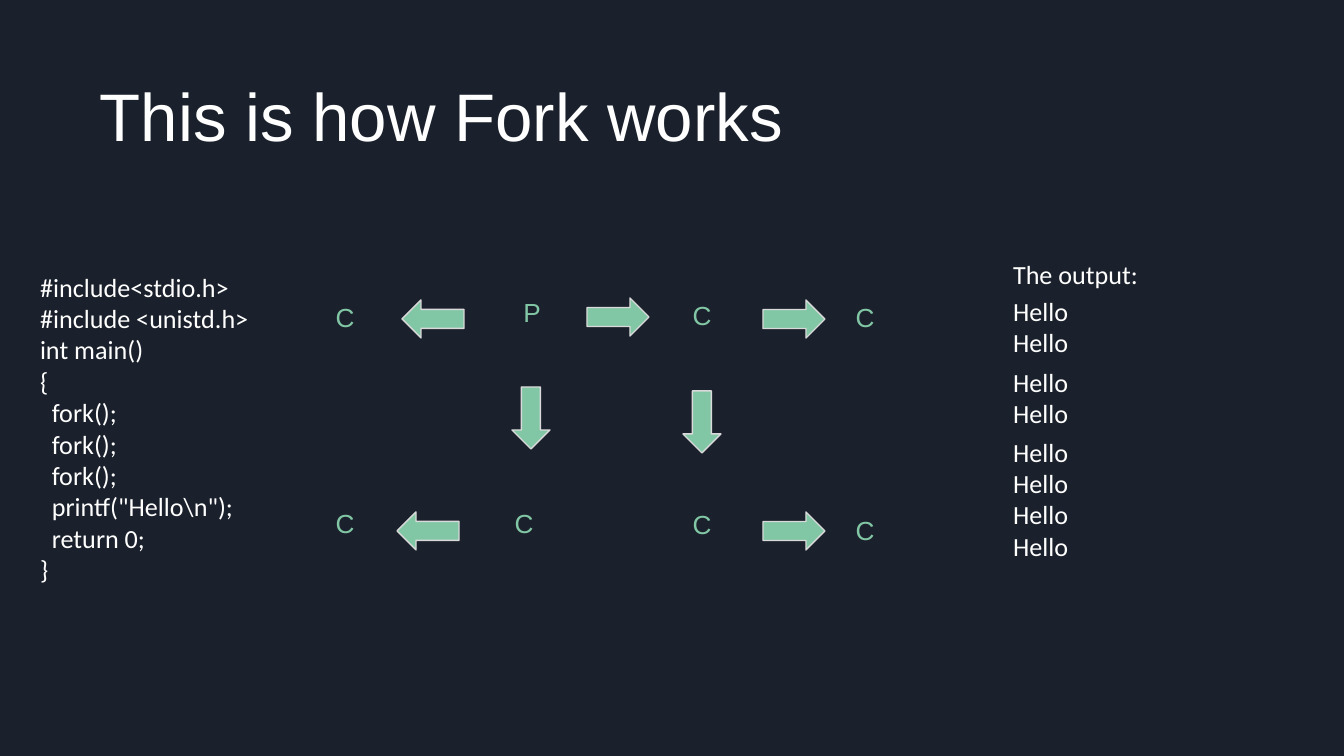
import dataclasses

import pptx
import pptx.dml.color
import pptx.enum.shapes
import pptx.enum.text
import pptx.oxml
import pptx.oxml.ns
import pptx.util

PX = 914400 / 134.4
ANCHOR = pptx.enum.text.MSO_ANCHOR


@dataclasses.dataclass(frozen=True)
class Theme:
    background: str = "1B212C"
    text: str = "FFFFFF"
    accent: str = "82C7A5"
    outline: str = "D9D9D9"
    outline_pt: float = 0.75
    heading_font: str = "Arial"
    body_font: str = "Calibri"
    title_pt: int = 36
    body_pt: int = 14


THEME = Theme()
ARROW_SIZE = (38, 62)
LABEL_SIZE = (34, 47)
DOWN, LEFT, RIGHT = 0, 90, 270

ARROWS = [
    (512, 387, DOWN),
    (683, 391, DOWN),
    (775, 288, RIGHT),
    (775, 500, RIGHT),
    (414, 288, LEFT),
    (409, 500, LEFT),
    (599, 286, RIGHT),
]

PROCESSES = [
    ("C", 685, 292),
    ("P", 515, 289),
    ("C", 848, 294),
    ("C", 328, 294),
    ("C", 685, 501),
    ("C", 507, 500),
    ("C", 848, 507),
    ("C", 328, 500),
]

CODE = [
    "#include<stdio.h>\n#include <unistd.h>\nint main()\n{",
    "  fork();\n  fork();",
    "  fork();",
    "  printf(\"Hello\\n\");\n  return 0;\n}",
]

OUTPUT = [
    (245, 74, ["The output:"]),
    (282, 89, ["Hello"] * 2),
    (353, 89, ["Hello"] * 2),
    (423, 89, ["Hello"] * 4),
]


def px(n):
    return pptx.util.Emu(round(n * PX))


def rgb(color):
    return pptx.dml.color.RGBColor.from_string(color)


def add_text(s, box, lines, font, size, color, anchor=ANCHOR.TOP, inset=13, wrap=True):
    tf = s.shapes.add_textbox(*map(px, box)).text_frame
    tf.word_wrap = wrap
    tf.vertical_anchor = anchor
    tf.margin_left = tf.margin_right = tf.margin_top = tf.margin_bottom = px(inset)
    for i, line in enumerate(lines):
        p = tf.add_paragraph() if i else tf.paragraphs[0]
        p.text = line
        p.font.name = font
        p.font.size = pptx.util.Pt(size)
        p.font.color.rgb = rgb(color)
    return tf


def add_arrow(s, x, y, rotation):
    sp = s.shapes.add_shape(
        pptx.enum.shapes.MSO_SHAPE.DOWN_ARROW, *map(px, (x, y, *ARROW_SIZE))
    )
    sp.rotation = rotation
    sp.shadow.inherit = False
    sp.fill.solid()
    sp.fill.fore_color.rgb = rgb(THEME.accent)
    sp.line.color.rgb = rgb(THEME.outline)
    sp.line.width = pptx.util.Pt(THEME.outline_pt)


def outline_run(r):
    ln = pptx.oxml.parse_xml(
        f'<a:ln {pptx.oxml.ns.nsdecls("a")} w="{pptx.util.Pt(THEME.outline_pt)}">'
        f'<a:solidFill><a:srgbClr val="{THEME.outline}"/></a:solidFill></a:ln>'
    )
    r._r.get_or_add_rPr().insert(0, ln)


def add_process(s, name, x, y):
    tf = add_text(
        s, (x, y, *LABEL_SIZE), [name], THEME.heading_font, THEME.body_pt,
        THEME.accent, ANCHOR.MIDDLE, inset=0, wrap=False,
    )
    p = tf.paragraphs[0]
    p.alignment = pptx.enum.text.PP_ALIGN.CENTER
    outline_run(p.runs[0])


def add_body(s, box, lines):
    add_text(s, box, lines, THEME.body_font, THEME.body_pt, THEME.text)


def main():
    prs = pptx.Presentation()
    prs.slide_width, prs.slide_height = px(1344), px(756)
    s = prs.slides.add_slide(prs.slide_layouts[6])
    s.background.fill.solid()
    s.background.fill.fore_color.rgb = rgb(THEME.background)

    for arrow in ARROWS:
        add_arrow(s, *arrow)
    for process in PROCESSES:
        add_process(s, *process)
    add_text(
        s, (87, 56, 1117, 117), ["This is how Fork works"],
        THEME.heading_font, THEME.title_pt, THEME.text, ANCHOR.MIDDLE,
    )
    add_body(s, (27, 258, 364, 390), CODE)
    for y, height, lines in OUTPUT:
        add_body(s, (1000, y, 364, height), lines)

    prs.save("out.pptx")


if __name__ == "__main__":
    main()
